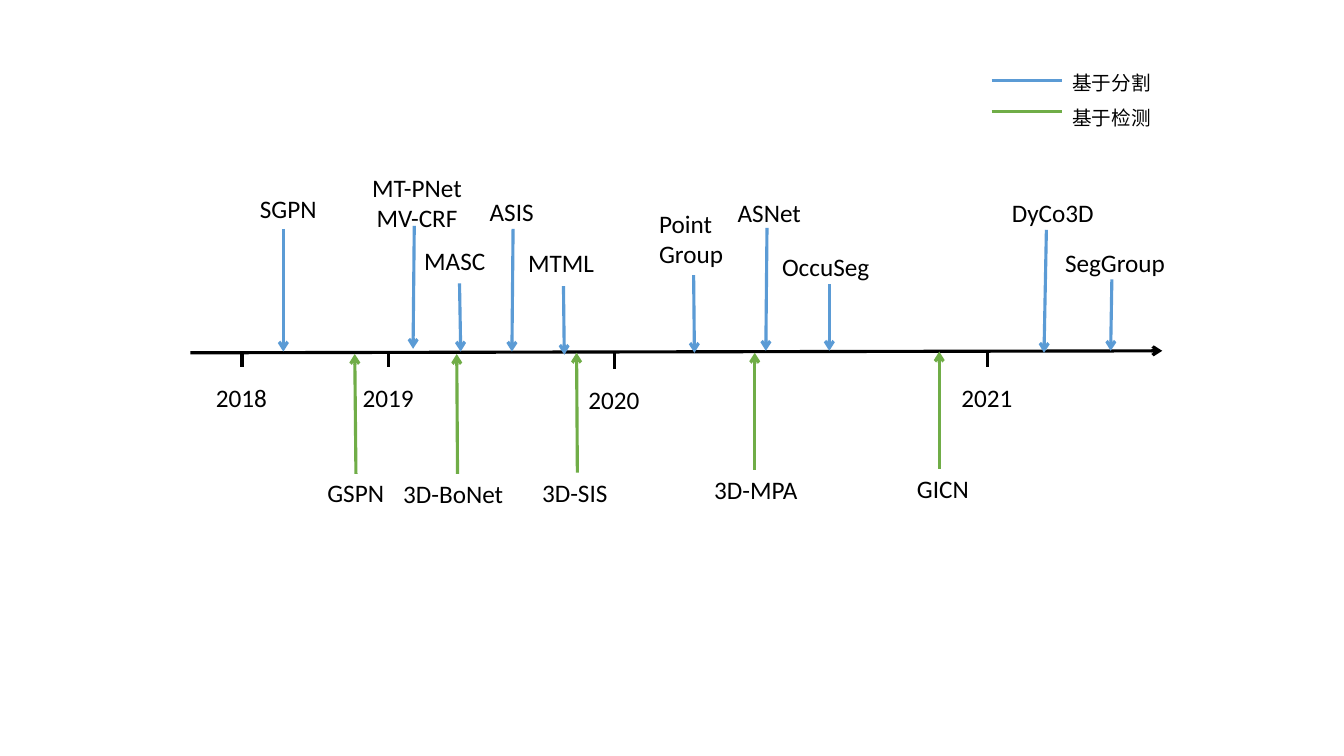
from lxml import etree
from pptx import Presentation
from pptx.dml.color import RGBColor
from pptx.enum import shapes, text
from pptx.oxml import ns
from pptx.util import Cm, Pt

BLACK, BLUE, GREEN = "000000", "5B9BD5", "70AD47"

# Content, lengths in cm
AXIS = (4.8, 8.89, 29.29, 8.84)
YEARS = [("2018", 6.1, 8.86), ("2019", 9.8, 8.86),
         ("2020", 15.49, 8.89), ("2021", 24.89, 8.86)]

# Lines of the label, (left, top, width) of its box, arrow from and to
SEGMENT = [
    (["SGPN"], (6.3, 4.75, 2.06), (7.14, 5.77, 7.14, 8.86)),
    (["MT-PNet", "MV-CRF"], (9.09, 4.22, 2.84), (10.44, 5.69, 10.41, 8.79)),
    (["MASC"], (10.44, 6.05, 2.21), (11.58, 7.14, 11.61, 8.86)),
    (["ASIS"], (12.09, 4.83, 1.78), (12.93, 5.77, 12.9, 8.86)),
    (["MTML"], (13.06, 6.1, 2.21), (14.2, 7.21, 14.22, 8.94)),
    (["Point", "Group"], (16.36, 5.13, 2.39), (17.48, 6.93, 17.5, 8.89)),
    (["ASNet"], (18.34, 4.85, 2.44), (19.33, 5.74, 19.3, 8.84)),
    (["OccuSeg"], (19.46, 6.2, 2.92), (20.9, 7.16, 20.9, 8.84)),
    (["DyCo3D"], (25.25, 4.85, 2.72), (26.37, 5.79, 26.31, 8.89)),
    (["SegGroup"], (26.59, 6.12, 3.18), (28.02, 7.04, 27.99, 8.84)),
]
DETECT = [
    (["GSPN"], (8, 11.91, 2.03), (8.97, 11.94, 8.94, 8.92)),
    (["3D-BoNet"], (9.91, 11.94, 3.28), (11.53, 11.94, 11.51, 8.92)),
    (["3D-SIS"], (13.41, 11.91, 2.34), (14.55, 11.91, 14.53, 8.89)),
    (["3D-MPA"], (17.75, 11.84, 2.72), (19.02, 11.84, 19.02, 8.89)),
    (["GICN"], (22.86, 11.81, 2.44), (23.67, 11.81, 23.67, 8.86)),
]
LEGEND = [("基于分割", BLUE, 2.03), ("基于检测", GREEN, 2.82)]

deck = Presentation()
deck.slide_width, deck.slide_height = Cm(33.87), Cm(19.05)
slide = deck.slides.add_slide(deck.slide_layouts[6])


def paint(color, code):
    color.rgb = RGBColor.from_string(code)


def line(ends, code, arrow=False):
    link = slide.shapes.add_connector(
        shapes.MSO_CONNECTOR.STRAIGHT, *[Cm(v) for v in ends])
    paint(link.line.color, code)
    link.line.width = Pt(2.25)
    if arrow:
        etree.SubElement(link.line._get_or_add_ln(), ns.qn("a:tailEnd"), type="arrow")
    etree.SubElement(link._element.spPr, ns.qn("a:effectLst"))


def label(lines, left, top, width, height, size=18, font="Calibri",
          align=text.PP_ALIGN.LEFT, space=None):
    box = slide.shapes.add_textbox(Cm(left), Cm(top), Cm(width), Cm(height))
    frame = box.text_frame
    frame.word_wrap = True
    frame.text = "\n".join(lines)
    for para in frame.paragraphs:
        para.alignment = align
        para.line_spacing = space
        para.font.size = Pt(size)
        para.font.name = font
        paint(para.font.color, BLACK)
        for run in para.runs:
            props = run._r.get_or_add_rPr()
            etree.SubElement(props, ns.qn("a:ea"), typeface=font)


# Time axis with year ticks
line(AXIS, BLACK, arrow=True)
for year, x, y in YEARS:
    line((x, y, x, y + 0.4), BLACK)
    label([year], x - 0.91, y + 0.66, 1.83, 1.02)

# Methods above and below the axis
for group, code in ((SEGMENT, BLUE), (DETECT, GREEN)):
    for lines, place, ends in group:
        line(ends, code, arrow=True)
        center = lines[0] == "MT-PNet"
        label(lines, *place, 0.25 + 0.77 * len(lines),
              align=text.PP_ALIGN.CENTER if center else text.PP_ALIGN.LEFT)

# Legend
for name, code, y in LEGEND:
    line((24.99, y, 26.77, y), code)
label([name for name, code, y in LEGEND], 26.77, 1.37, 3.61, 1.91,
      size=14, font="Noto Sans CJK SC", space=1.5)

deck.save("out.pptx")
